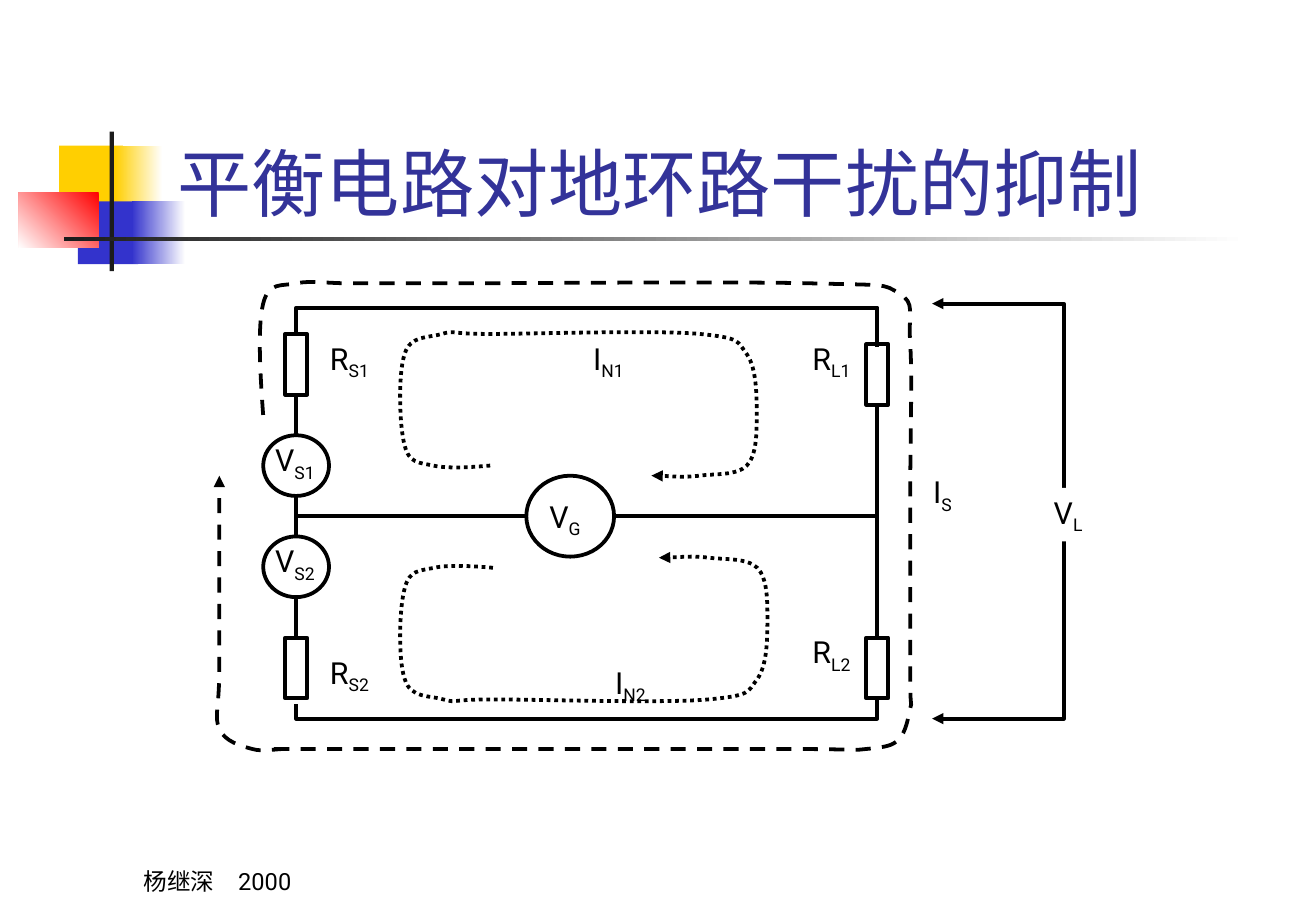
from lxml import etree
from pptx import Presentation, util as u
from pptx.dml.color import RGBColor
from pptx.enum import dml, shapes, text
from pptx.oxml.ns import qn

WIDE, HIGH = u.Inches(10.84), u.Inches(7.5)
COLS, ROWS = 120, 90
RECT, OVAL = shapes.MSO_SHAPE.RECTANGLE, shapes.MSO_SHAPE.OVAL
INK, WHITE = "000000", "FFFFFF"
FONT = "Roboto"

# Each curve: a start, then three points (two handles and an end) per bend.
LOOP = [
    (44.7, 46),
    (42.7, 46.2), (40.7, 46.3), (39.5, 46),
    (38.2, 45.7), (37.3, 45.8), (36.9, 44),
    (36.4, 42.1), (36.3, 36.8), (36.9, 35),
    (37.4, 33.1), (39.1, 33.4), (40.3, 33),
    (41.6, 32.6), (40.7, 33), (44.7, 33),
    (48.6, 33), (59.9, 32.6), (63.8, 33),
    (67.6, 33.4), (67.2, 33.7), (68.1, 35),
    (69, 36.4), (69, 39.1), (69, 41),
    (69, 42.8), (69, 45), (68.1, 46),
    (67.2, 47), (65.2, 46.8), (63.8, 47),
    (62.3, 47.2), (60.9, 47), (59.4, 47),
]
OUTER = [
    (24, 41),
    (23.7, 36.6), (23.5, 32.2), (24, 30),
    (24.5, 27.8), (25.7, 28.3), (27, 28),
    (28.3, 27.7), (29.8, 28), (32, 28),
    (34.1, 28), (33, 28), (40, 28),
    (47, 28), (67, 27.8), (74, 28),
    (81, 28.2), (80.5, 28), (82, 29),
    (83.5, 30), (82.8, 30.7), (83, 34),
    (83.2, 37.3), (83, 43.5), (83, 49),
    (83, 54.5), (83, 63.5), (83, 67),
    (83, 70.5), (83.2, 69), (83, 70),
    (82.8, 71), (82.6, 72.3), (82, 73),
    (81.4, 73.7), (80.8, 73.8), (79, 74),
    (77.2, 74.2), (79.3, 74), (71, 74),
    (62.7, 74), (36.5, 74), (29, 74),
    (21.5, 74), (27, 74), (26, 74),
    (25, 74), (24, 74.3), (23, 74),
    (22, 73.7), (20.5, 73.3), (20, 72),
    (19.5, 70.7), (20, 70.2), (20, 66),
    (20, 61.8), (20, 54.3), (20, 47),
]


def grid(col, row):
    return round(col * WIDE / COLS), round(row * HIGH / ROWS)


def shade(code):
    return RGBColor.from_string(code)


def ink(line):
    line.color.rgb = shade(INK)
    line.width = u.Pt(2.25)


def block(slide, kind, at, fill=None, line=False):
    """Add a preset shape; fill is a colour, None, or (start, end, angle)."""
    shape = slide.shapes.add_shape(kind, *grid(*at[:2]), *grid(*at[2:]))
    shape.shadow.inherit = False
    if fill is None:
        shape.fill.background()
    elif isinstance(fill, tuple):
        shape.fill.gradient()
        shape.fill.gradient_angle = fill[2]
        for stop, code in zip(shape.fill.gradient_stops, fill):
            stop.color.rgb = shade(code)
    else:
        shape.fill.solid()
        shape.fill.fore_color.rgb = shade(fill)
    if line:
        ink(shape.line)
    else:
        shape.line.fill.background()
    return shape


def write(frame, words, sub="", size=18, color=INK, base=False, gap=0):
    frame.word_wrap = True
    frame.vertical_anchor = text.MSO_ANCHOR.BOTTOM if base else text.MSO_ANCHOR.TOP
    para = frame.paragraphs[0]
    para.alignment = text.PP_ALIGN.LEFT
    para.space_before = u.Pt(gap)
    for part in filter(None, (words, sub)):
        run = para.add_run()
        run.text = part
        run.font.size = u.Pt(size)
        run.font.name = FONT
        run.font.color.rgb = shade(color)
    if sub:
        run.font._element.set("baseline", "-25000")


def box(slide, at, words, **form):
    area = slide.shapes.add_textbox(*grid(*at[:2]), *grid(*at[2:]))
    write(area.text_frame, words, **form)


def wire(slide, start, end, top=None, foot=None):
    """Draw a wire, joined to the bottom of top and the top of foot."""
    line = slide.shapes.add_connector(
        shapes.MSO_CONNECTOR.STRAIGHT, *grid(*start), *grid(*end))
    ink(line.line)
    etree.SubElement(line._element.spPr, qn("a:effectLst"))
    if top is not None:
        line.begin_connect(top, 2)
    if foot is not None:
        line.end_connect(foot, 0)


def bend(shape):
    """Turn each three straight segments into one Bezier curve."""
    lines = list(shape._element.iter(qn("a:lnTo")))
    for i in range(0, len(lines), 3):
        curve = etree.Element(qn("a:cubicBezTo"))
        lines[i].addprevious(curve)
        for line in lines[i:i + 3]:
            curve.append(line[0])
            line.getparent().remove(line)


def trace(slide, points, curved=False, dash=None, ends=()):
    first, *rest = [grid(*point) for point in points]
    pen = slide.shapes.build_freeform(*first)
    pen.add_line_segments(rest, close=False)
    shape = pen.convert_to_shape()
    shape.shadow.inherit = False
    shape.fill.background()
    ink(shape.line)
    if curved:
        bend(shape)
    if dash:
        shape.line.dash_style = dash
    for end in ends:
        etree.SubElement(shape.line._get_or_add_ln(), qn(f"a:{end}"), type="triangle")


def decor(slide):
    for at, fill in [
        ((5.4, 14.4, 5.8, 6.2), "FFCF01"),
        ((10.5, 14.4, 4.3, 6.2), (WHITE, "FFCF01", 180)),
        ((7.1, 19.9, 5.5, 6.2), "3333CC"),
        ((12, 19.9, 4.9, 6.2), (WHITE, "3333CC", 180)),
        ((1.7, 19, 7.3, 5.5), ("FF0000", WHITE, 225)),
        ((10, 13, 0.4, 13.8), "1C1C1C"),
        ((5.8, 23.4, 108, 0.4), (WHITE, "1C1C1C", 180)),
    ]:
        block(slide, RECT, at, fill)


def circuit(slide):
    rs1, rs2, rl1, rl2 = [
        block(slide, RECT, (col, row, 2, 6), line=True)
        for col, row in [(26, 33), (26, 63), (79, 34), (79, 63)]]
    vs1, vs2 = [
        block(slide, OVAL, (24, row, 6, 6), line=True) for row in (43, 53)]
    wire(slide, (27, 39), (27, 43), rs1, vs1)
    wire(slide, (27, 49), (27, 53), foot=vs2)
    wire(slide, (27, 59), (27, 63), foot=rs2)
    wire(slide, (80, 40), (80, 63), rl1, rl2)
    wire(slide, (27, 51), (80, 51))
    trace(slide, [(27, 33), (27, 30.4), (80, 30.4), (80, 34.3)])
    trace(slide, [(27, 69.6), (27, 71), (80, 71), (80, 69)])
    block(slide, OVAL, (48, 47, 8, 8), WHITE, line=True)


def flows(slide):
    dots = dml.MSO_LINE.ROUND_DOT
    lower = [(36.3 + (x - 36.3) * 1.03, 102.1 - y) for x, y in LOOP]
    for loop in (LOOP, lower):
        trace(slide, loop, curved=True, dash=dots, ends=["tailEnd"])
    trace(slide, OUTER, curved=True, dash=dml.MSO_LINE.DASH, ends=["tailEnd"])
    trace(slide, [(85, 30), (97, 30), (97, 71), (85, 71)],
          ends=["headEnd", "tailEnd"])


def labels(slide):
    for col, row, words, sub in [
        (49, 48.6, "V", "G"), (29, 33, "R", "S1"), (24, 43, "V", "S1"),
        (29, 64, "R", "S2"), (73, 62, "R", "L2"), (73, 33, "R", "L1"),
        (24, 53, "V", "S2"), (53, 33, "I", "N1"), (55, 65, "I", "N2"),
        (84, 46.2, "I", "S"),
    ]:
        box(slide, (col, row, 8, 5.3), words, sub=sub, gap=11.2)
    load = block(slide, RECT, (95, 48.2, 8, 5.3), WHITE)
    write(load.text_frame, "V", sub="L", gap=11.2)


def main():
    deck = Presentation()
    deck.slide_width, deck.slide_height = WIDE, HIGH
    slide = deck.slides.add_slide(deck.slide_layouts[6])
    decor(slide)
    box(slide, (15.1, 8, 102.2, 15), "平衡电路对地环路干扰的抑制",
        size=44, color="333399", base=True)
    circuit(slide)
    flows(slide)
    labels(slide)
    box(slide, (12, 83, 25, 6), "杨继深　2000", size=14, base=True)
    deck.save("out.pptx")


if __name__ == "__main__":
    main()
